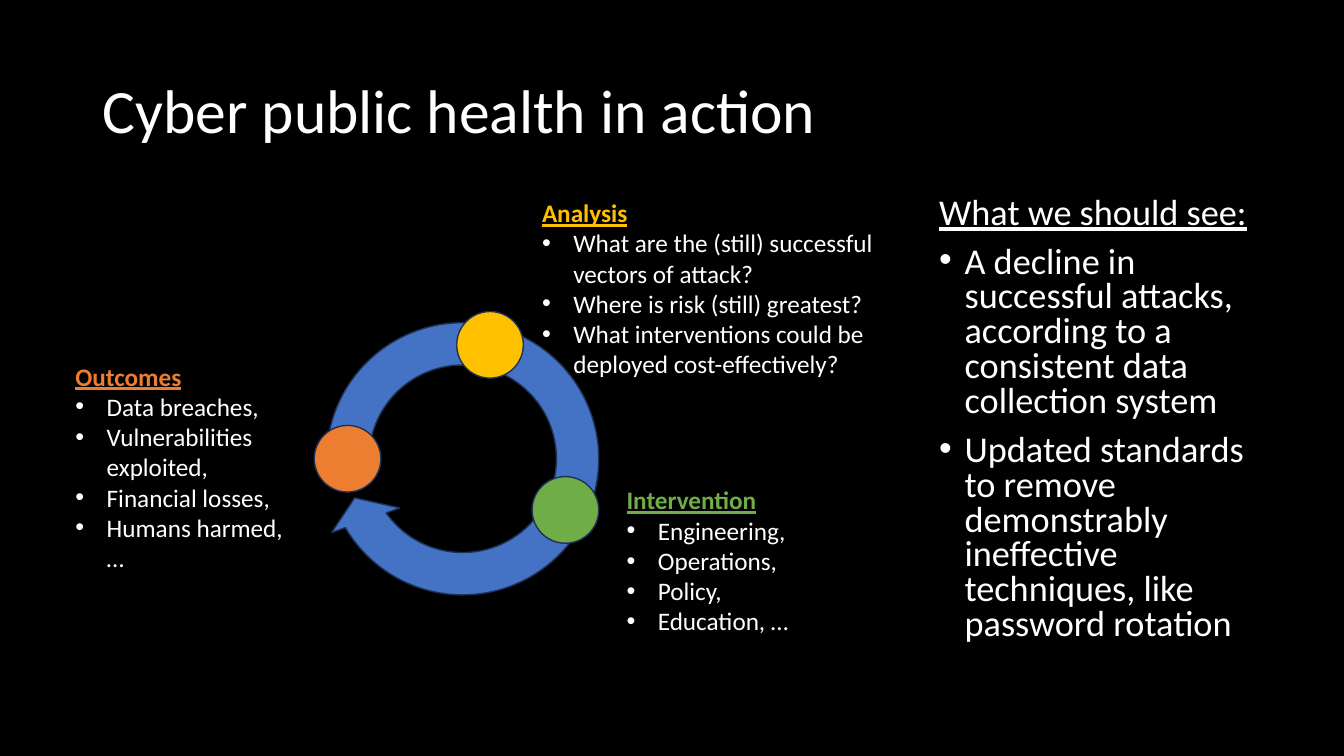
from dataclasses import dataclass

from lxml.etree import SubElement
from pptx import Presentation
from pptx.dml.color import RGBColor
from pptx.enum.shapes import MSO_SHAPE as Preset
from pptx.enum.text import MSO_ANCHOR as Anchor
from pptx.oxml.ns import qn
from pptx.shapes.autoshape import Shape
from pptx.slide import Slide
from pptx.text.text import TextFrame, _Paragraph as Paragraph
from pptx.util import Cm, Pt


@dataclass(frozen=True)
class Theme:
    font: str = "Calibri"
    background: str = "000000"
    text: str = "FFFFFF"
    arrow: str = "4472C4"
    outline: str = "1E3256"
    analysis: str = "FFC000"
    intervention: str = "70AD47"
    outcomes: str = "ED7D31"
    title_size: float = 44
    body_size: float = 25.9
    stage_size: float = 18


@dataclass(frozen=True)
class Box:
    """Left, top, width and height in centimetres."""
    left: float
    top: float
    width: float
    height: float

    def lengths(self) -> tuple[Cm, Cm, Cm, Cm]:
        return Cm(self.left), Cm(self.top), Cm(self.width), Cm(self.height)


@dataclass(frozen=True)
class Stage:
    """One step of the cycle: its dot on the ring and its bulleted list."""
    heading: str
    color: str
    dot_left: float
    dot_top: float
    text_box: Box
    bullets: tuple[str, ...]


THEME = Theme()
DOT_SIZE = 1.68
STAGE_INDENT = 0.79
BODY_INDENT = 0.64

TITLE_BOX = Box(2.34, 1.02, 29.21, 3.68)
BODY_BOX = Box(23.42, 4.85, 8.79, 12.09)
ARROW_BOX = Box(7.85, 7.75, 7.62, 7.62)
ARROW_ROTATION = 158.8
ARROW_ADJUSTMENTS = (0.14, 7.5, 209.29, 13.44, 0.12)

STAGES = (
    Stage("Intervention", THEME.intervention, 13.41, 12.01, Box(15.54, 12.09, 4.95, 4.11),
          ("Engineering,", "Operations,", "Policy,", "Education, …")),
    Stage("Outcomes", THEME.outcomes, 7.92, 10.72, Box(1.65, 8.97, 6.2, 5.64),
          ("Data breaches,", "Vulnerabilities exploited,", "Financial losses,",
           "Humans harmed, …")),
    Stage("Analysis", THEME.analysis, 11.51, 7.85, Box(13.41, 4.85, 9.35, 4.88),
          ("What are the (still) successful vectors of attack?",
           "Where is risk (still) greatest?",
           "What interventions could be deployed cost-effectively?")),
)
EXPECTATIONS = (
    "A decline in successful attacks, according to a consistent data collection system",
    "Updated standards to remove demonstrably ineﬀective techniques, like password rotation",
)


def add_bullet(paragraph: Paragraph, indent: float) -> None:
    properties = paragraph._p.get_or_add_pPr()
    properties.set("marL", str(Cm(indent)))
    properties.set("indent", str(-Cm(indent)))
    SubElement(properties, qn("a:buFont"), typeface="Arial")
    SubElement(properties, qn("a:buChar"), char="•")


def write_paragraph(frame: TextFrame, text: str, *, size: float, color: str = THEME.text,
                    bold: bool = False, underline: bool = False, indent: float = 0,
                    line_spacing: float = 1, space_before: float = 0) -> None:
    """Fill the empty first paragraph, or append one; a non-zero indent adds a bullet."""
    is_first = not frame.text
    paragraph = frame.paragraphs[0] if is_first else frame.add_paragraph()
    if indent:
        add_bullet(paragraph, indent)
    paragraph.line_spacing = line_spacing
    paragraph.space_before = Pt(0 if is_first else space_before)
    run = paragraph.add_run()
    run.text = text
    run.font.name = THEME.font
    run.font.size = Pt(size)
    run.font.bold = bold
    run.font.underline = underline
    run.font.color.rgb = RGBColor.from_string(color)


def add_text_frame(slide: Slide, box: Box, anchor: Anchor = Anchor.TOP) -> TextFrame:
    frame = slide.shapes.add_textbox(*box.lengths()).text_frame
    frame.word_wrap = True
    frame.vertical_anchor = anchor
    return frame


def add_filled_shape(slide: Slide, preset: Preset, box: Box, color: str) -> Shape:
    shape = slide.shapes.add_shape(preset, *box.lengths())
    shape.shadow.inherit = False
    shape.fill.solid()
    shape.fill.fore_color.rgb = RGBColor.from_string(color)
    shape.line.color.rgb = RGBColor.from_string(THEME.outline)
    shape.line.width = Pt(1)
    return shape


def add_cycle_arrow(slide: Slide) -> None:
    arrow = add_filled_shape(slide, Preset.CIRCULAR_ARROW, ARROW_BOX, THEME.arrow)
    arrow.rotation = ARROW_ROTATION
    for index, value in enumerate(ARROW_ADJUSTMENTS):
        arrow.adjustments[index] = value


def add_stage_text(slide: Slide, stage: Stage) -> None:
    frame = add_text_frame(slide, stage.text_box)
    write_paragraph(frame, stage.heading, size=THEME.stage_size, color=stage.color,
                    bold=True, underline=True)
    for bullet in stage.bullets:
        write_paragraph(frame, bullet, size=THEME.stage_size, indent=STAGE_INDENT)


def add_stage_dot(slide: Slide, stage: Stage) -> None:
    box = Box(stage.dot_left, stage.dot_top, DOT_SIZE, DOT_SIZE)
    add_filled_shape(slide, Preset.OVAL, box, stage.color)


def add_title(slide: Slide) -> None:
    frame = add_text_frame(slide, TITLE_BOX, Anchor.MIDDLE)
    write_paragraph(frame, "Cyber public health in action", size=THEME.title_size,
                    line_spacing=0.9)


def add_expectations(slide: Slide) -> None:
    frame = add_text_frame(slide, BODY_BOX)
    write_paragraph(frame, "What we should see:", size=THEME.body_size, underline=True,
                    line_spacing=0.8)
    for expectation in EXPECTATIONS:
        write_paragraph(frame, expectation, size=THEME.body_size, indent=BODY_INDENT,
                        line_spacing=0.8, space_before=10)


def main() -> None:
    presentation = Presentation()
    presentation.slide_width, presentation.slide_height = Cm(33.87), Cm(19.05)
    slide = presentation.slides.add_slide(presentation.slide_layouts[6])
    slide.background.fill.solid()
    slide.background.fill.fore_color.rgb = RGBColor.from_string(THEME.background)

    add_cycle_arrow(slide)
    for stage in STAGES:
        add_stage_text(slide, stage)
    for stage in STAGES:
        add_stage_dot(slide, stage)
    add_title(slide)
    add_expectations(slide)
    presentation.save("out.pptx")


if __name__ == "__main__":
    main()
